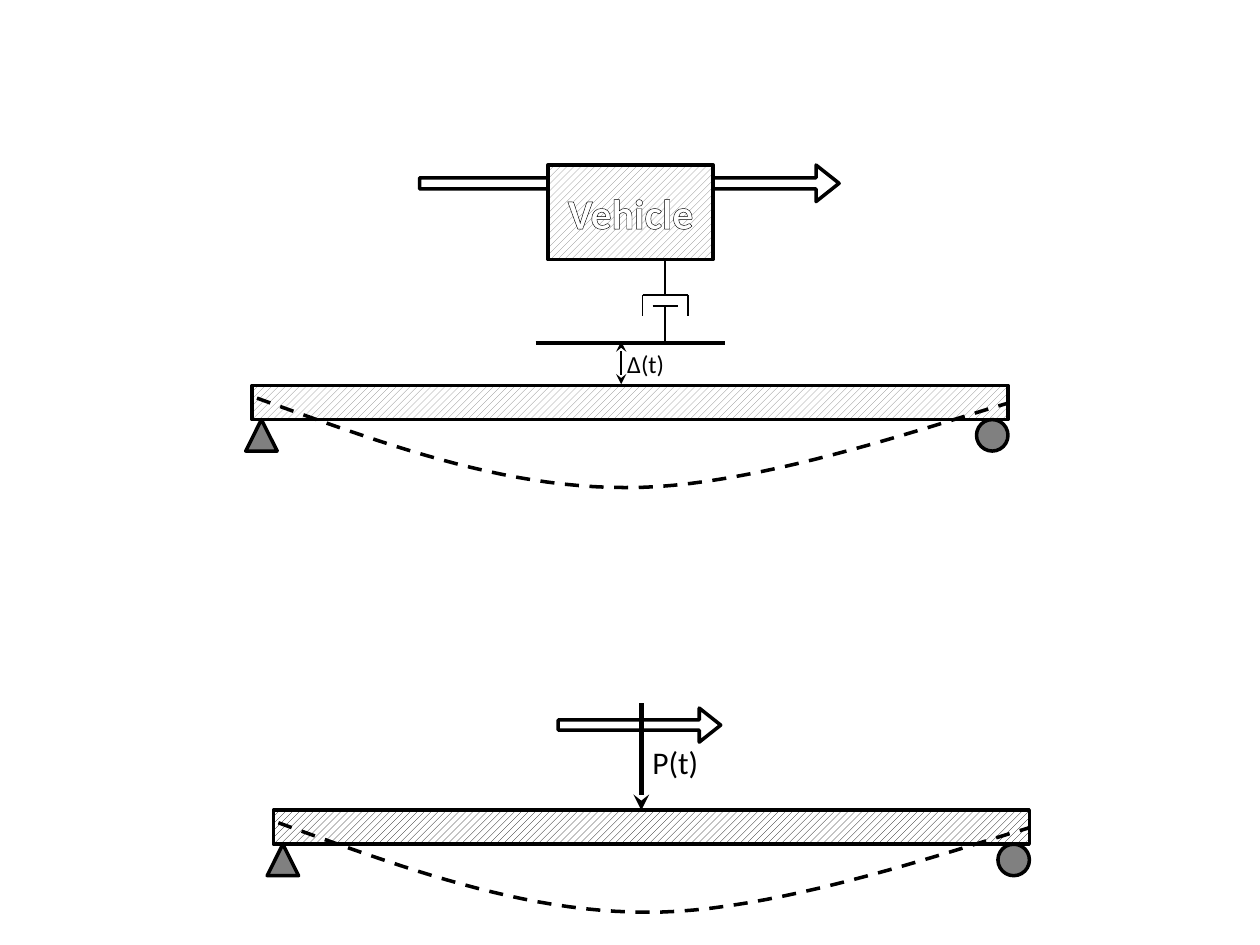
from lxml import etree
from pptx import Presentation
from pptx.dml.color import RGBColor
from pptx.enum.dml import MSO_LINE, MSO_PATTERN
from pptx.enum.shapes import MSO_CONNECTOR, MSO_SHAPE
from pptx.enum.text import MSO_ANCHOR, MSO_AUTO_SIZE, PP_ALIGN
from pptx.oxml.ns import qn
from pptx.util import Inches, Pt

STRAIGHT = MSO_CONNECTOR.STRAIGHT
RECTANGLE, ARROW = MSO_SHAPE.RECTANGLE, MSO_SHAPE.RIGHT_ARROW
TRIANGLE, OVAL = MSO_SHAPE.ISOSCELES_TRIANGLE, MSO_SHAPE.OVAL
HATCH = MSO_PATTERN.WIDE_UPWARD_DIAGONAL
DASH = MSO_LINE.DASH
MIDDLE, CENTER = MSO_ANCHOR.MIDDLE, PP_ALIGN.CENTER
GROW = MSO_AUTO_SIZE.SHAPE_TO_FIT_TEXT

THEME = {
    "font": "Calibri",
    "black": RGBColor(0, 0, 0),
    "gray": RGBColor(0x80, 0x80, 0x80),
    "white": RGBColor(0xFF, 0xFF, 0xFF),
    "vehicle_size": 24, "gap_size": 14, "load_size": 18,
    "outline": 2, "text_outline": 1.5,
    "track": 2.25, "gap": 1.25, "damper": 1, "load": 3,
}

VEHICLE = ("Vehicle", (4.35, 1.31, 1.31, 0.75))
VEHICLE_MOTION = (3.33, 1.31, 3.33, 0.29)
LOAD_MOTION = (4.43, 5.62, 1.29, 0.27)
MOTION_ADJUSTMENTS = (0.3, 0.63)
TRACK = (4.25, 2.72, 5.75, 2.72)
GAP_ARROW = (4.93, 2.71, 4.93, 3.05)
GAP_LABEL = ("Δ(t)", (4.88, 2.72, 0.54, 0.34))
LOAD_ARROW = (5.09, 5.58, 5.09, 6.43)
LOAD_LABEL = ("P(t)", (5.08, 5.85, 0.67, 0.4))
DAMPER = [
    (5.28, 2.06, 5.28, 2.34),
    (5.1, 2.34, 5.46, 2.34),
    (5.1, 2.34, 5.1, 2.51),
    (5.46, 2.34, 5.46, 2.51),
    (5.18, 2.43, 5.38, 2.43),
    (5.28, 2.43, 5.28, 2.71),
]
VEHICLE_BEAM, LOAD_BEAM = (2, 3.06), (2.17, 6.43)
BEAM_LENGTH, BEAM_DEPTH, SUPPORT = 6, 0.27, 0.25
PIN_OVERHANG = 0.05
DEFLECTION = [
    ((0.04, 0.1), (1.01, 0.45), (1.97, 0.81), (2.96, 0.81)),
    ((2.96, 0.81), (3.95, 0.82), (5.35, 0.33), (6, 0.14)),
]
CURVE_STEPS = 24


def lengths(values):
    return [Inches(value) for value in values]


def set_values(target, values):
    for name, value in values.items():
        setattr(target, name, value)


def add_shape(kind, box, fill=None, hatch=None):
    shape = slide.shapes.add_shape(kind, *lengths(box))
    shape.shadow.inherit = False
    if hatch is not None:
        shape.fill.patterned()
        set_values(shape.fill, {"pattern": HATCH})
        shape.fill.fore_color.rgb = hatch
        shape.fill.back_color.rgb = THEME["white"]
    elif fill is not None:
        shape.fill.solid()
        shape.fill.fore_color.rgb = fill
    else:
        shape.fill.background()
    set_outline(shape, THEME["outline"])
    return shape


def set_outline(shape, width):
    shape.line.color.rgb = THEME["black"]
    shape.line.width = Pt(width)


def add_line(shapes, ends, width, arrowheads=()):
    connector = shapes.add_connector(STRAIGHT, *lengths(ends))
    set_outline(connector, width)
    line = connector.line._get_or_add_ln()
    for end in arrowheads:
        etree.SubElement(line, qn(f"a:{end}"), type="stealth")
    etree.SubElement(connector._element.spPr, qn("a:effectLst"))


def add_run(paragraph, text, size, color, bold=False):
    run = paragraph.add_run()
    run.text = text
    set_values(run.font, {"name": THEME["font"], "size": Pt(size), "bold": bold})
    run.font.color.rgb = color
    return run


def add_label(label, size):
    text, box = label
    frame = slide.shapes.add_textbox(*lengths(box)).text_frame
    set_values(frame, {"word_wrap": True, "auto_size": GROW})
    add_run(frame.paragraphs[0], text, size, THEME["black"])


def add_motion(box):
    arrow = add_shape(ARROW, box)
    for index, value in enumerate(MOTION_ADJUSTMENTS):
        arrow.adjustments[index] = value


def add_vehicle():
    text, box = VEHICLE
    frame = add_shape(RECTANGLE, box, hatch=THEME["gray"]).text_frame
    set_values(frame, {"vertical_anchor": MIDDLE, "word_wrap": True})
    paragraph = frame.paragraphs[0]
    paragraph.alignment = CENTER
    run = add_run(paragraph, text, THEME["vehicle_size"], THEME["white"], True)
    outline = etree.Element(qn("a:ln"), w=str(Pt(THEME["text_outline"])))
    fill = etree.SubElement(outline, qn("a:solidFill"))
    etree.SubElement(fill, qn("a:srgbClr"), val=str(THEME["black"]))
    run.font._element.insert(0, outline)


def curve_point(controls, t):
    weights = ((1 - t) ** 3, 3 * t * (1 - t) ** 2, 3 * t * t * (1 - t), t ** 3)
    return [sum(w * c[axis] for w, c in zip(weights, controls)) for axis in (0, 1)]


def add_beam(origin, hatch):
    left, top = origin
    bottom = top + BEAM_DEPTH
    add_shape(RECTANGLE, (left, top, BEAM_LENGTH, BEAM_DEPTH), hatch=hatch)
    pin_left = left - PIN_OVERHANG
    roller_left = left + BEAM_LENGTH - SUPPORT
    for kind, x in ((TRIANGLE, pin_left), (OVAL, roller_left)):
        add_shape(kind, (x, bottom, SUPPORT, SUPPORT), fill=THEME["gray"])
    points = [DEFLECTION[0][0]] + [
        curve_point(controls, step / CURVE_STEPS)
        for controls in DEFLECTION
        for step in range(1, CURVE_STEPS + 1)
    ]
    vertices = [lengths((left + x, top + y)) for x, y in points]
    builder = slide.shapes.build_freeform(*vertices[0])
    builder.add_line_segments(vertices[1:], close=False)
    curve = builder.convert_to_shape()
    curve.shadow.inherit = False
    curve.fill.background()
    set_outline(curve, THEME["outline"])
    curve.line.dash_style = DASH


presentation = Presentation()
set_values(presentation, {"slide_width": Inches(10), "slide_height": Inches(7.5)})
slide = presentation.slides.add_slide(presentation.slide_layouts[6])

add_motion(VEHICLE_MOTION)
add_vehicle()
add_beam(VEHICLE_BEAM, THEME["gray"])
add_line(slide.shapes, TRACK, THEME["track"])
add_line(slide.shapes, GAP_ARROW, THEME["gap"], ("headEnd", "tailEnd"))
add_label(GAP_LABEL, THEME["gap_size"])
damper = slide.shapes.add_group_shape()
for ends in DAMPER:
    add_line(damper.shapes, ends, THEME["damper"])

add_beam(LOAD_BEAM, THEME["black"])
add_line(slide.shapes, LOAD_ARROW, THEME["load"], ("tailEnd",))
add_label(LOAD_LABEL, THEME["load_size"])
add_motion(LOAD_MOTION)

presentation.save("out.pptx")
